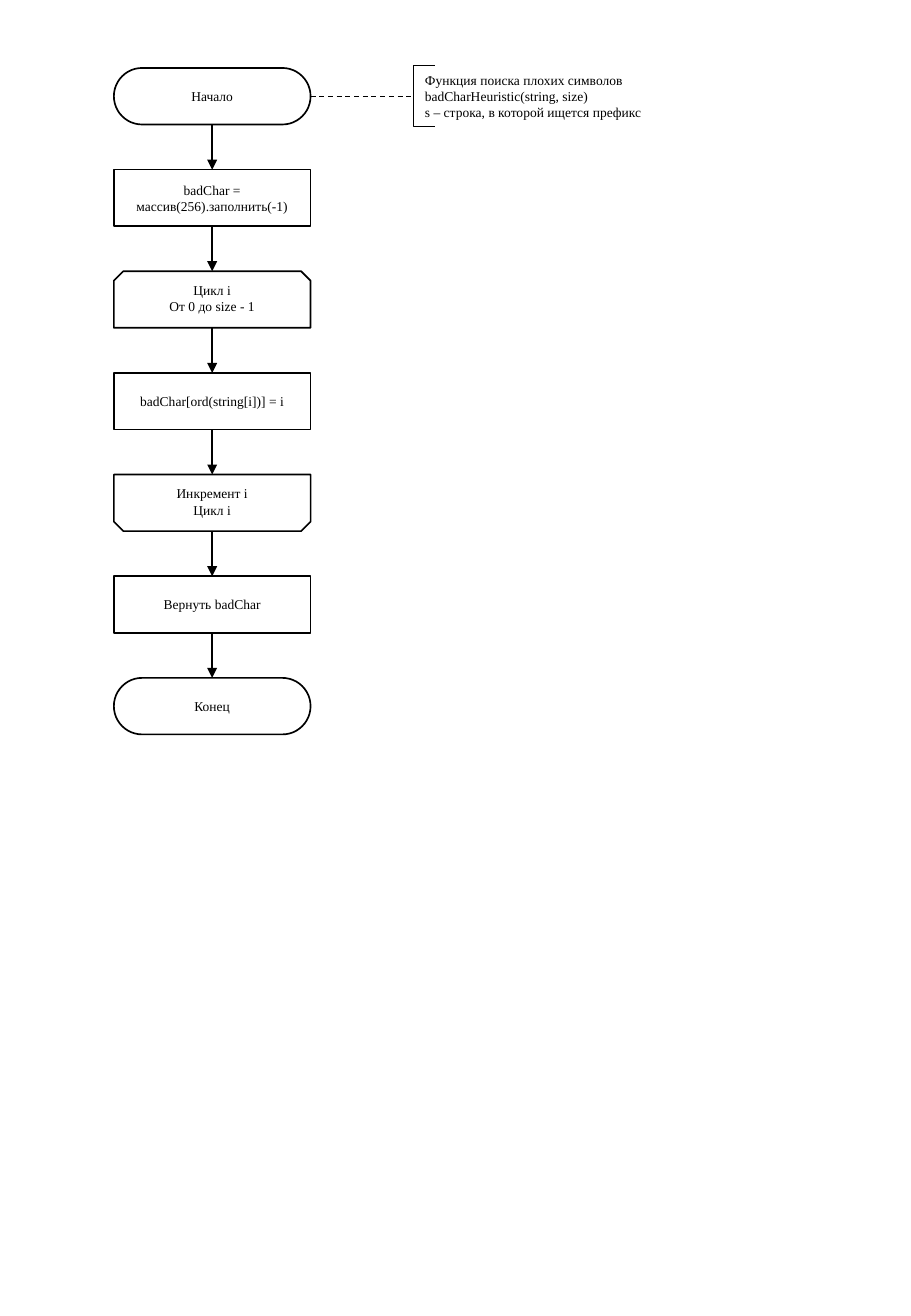
from dataclasses import dataclass

from pptx import Presentation
from pptx.dml.color import RGBColor
from pptx.enum import dml, shapes, text
from pptx.oxml import ns, xmlchemy
from pptx.util import Pt


@dataclass(frozen=True)
class Theme:
    ink: RGBColor = RGBColor(0, 0, 0)
    paper: RGBColor = RGBColor(255, 255, 255)
    font: str = "Times New Roman"
    size: float = 8
    outline: float = 1
    dash: float = 0.75
    bracket: float = 0.5


class Flowchart:
    def __init__(self, page, theme):
        self.page = page
        self.theme = theme

    def fill_text(self, frame, lines, align):
        frame.text = "\n".join(lines)
        for para in frame.paragraphs:
            para.alignment = align
            para.font.name = self.theme.font
            para.font.size = Pt(self.theme.size)
            para.font.color.rgb = self.theme.ink

    def shape(self, kind, left, top, width, height, weight):
        box = self.page.shapes.add_shape(kind, Pt(left), Pt(top), Pt(width), Pt(height))
        box.shadow.inherit = False
        box.line.color.rgb = self.theme.ink
        box.line.width = Pt(weight)
        return box

    def step(self, kind, left, top, width, height, lines=()):
        box = self.shape(kind, left, top, width, height, self.theme.outline)
        box.fill.solid()
        box.fill.fore_color.rgb = self.theme.paper
        if lines:
            box.text_frame.vertical_anchor = text.MSO_ANCHOR.MIDDLE
            self.fill_text(box.text_frame, lines, text.PP_ALIGN.CENTER)
        return box

    def label(self, left, top, width, height, lines, align, wrap):
        box = self.page.shapes.add_textbox(Pt(left), Pt(top), Pt(width), Pt(height))
        box.text_frame.word_wrap = wrap
        box.text_frame.auto_size = text.MSO_AUTO_SIZE.SHAPE_TO_FIT_TEXT
        self.fill_text(box.text_frame, lines, align)

    def bracket(self, left, top, width, height):
        box = self.shape(shapes.MSO_SHAPE.LEFT_BRACKET, left, top, width, height,
                         self.theme.bracket)
        box.adjustments[0] = 0
        box.fill.background()

    def line(self, start, end, weight):
        link = self.page.shapes.add_connector(
            shapes.MSO_CONNECTOR.STRAIGHT, *map(Pt, start + end))
        link.line.color.rgb = self.theme.ink
        link.line.width = Pt(weight)
        link._element.spPr.append(xmlchemy.OxmlElement("a:effectLst"))
        return link

    def arrow(self, start, end):
        link = self.line(start, end, self.theme.outline)
        head = xmlchemy.OxmlElement("a:tailEnd")
        head.set("type", "triangle")
        link._element.spPr.find(ns.qn("a:ln")).append(head)

    def dashed(self, start, end):
        link = self.line(start, end, self.theme.dash)
        link.line.dash_style = dml.MSO_LINE.DASH


LEFT, TOP, WIDTH, HEIGHT, PITCH = 67.5, 40.3, 116.6, 33.5, 60.25
CENTRE = LEFT + WIDTH / 2
LABEL_WIDTH, LABEL_HEIGHT = 66, 26.6
NOTE_LEFT, NOTE_TOP, NOTE_WIDTH, NOTE_HEIGHT = 244.8, 38.9, 150.5, 36.2

TERMINAL = shapes.MSO_SHAPE.ROUNDED_RECTANGLE
PROCESS = shapes.MSO_SHAPE.RECTANGLE
LOOP = shapes.MSO_SHAPE.SNIP_2_SAME_RECTANGLE

STEPS = [
    (TERMINAL, 0, ["Начало"]),
    (PROCESS, 0, ["badChar = массив(256).заполнить(-1)"]),
    (LOOP, 0, ["Цикл i", "От 0 до size - 1"]),
    (PROCESS, 0, ["badChar[ord(string[i])] = i"]),
    (LOOP, 180, ["Инкремент i", "Цикл i"]),
    (PROCESS, 0, ["Вернуть badChar"]),
    (TERMINAL, 0, ["Конец"]),
]
NOTE = [
    "Функция поиска плохих символов",
    "badCharHeuristic(string, size)",
    "s – строка, в которой ищется префикс",
]

deck = Presentation()
deck.slide_width, deck.slide_height = Pt(540), Pt(780)
chart = Flowchart(deck.slides.add_slide(deck.slide_layouts[6]), Theme())

for index, (kind, rotation, lines) in enumerate(STEPS):
    top = TOP + index * PITCH
    box = chart.step(kind, LEFT, top, WIDTH, HEIGHT, () if kind == LOOP else lines)
    box.rotation = rotation
    if kind == TERMINAL:
        box.adjustments[0] = 0.5
    if kind == LOOP:
        chart.label(CENTRE - LABEL_WIDTH / 2, top + 2.9, LABEL_WIDTH, LABEL_HEIGHT,
                    lines, text.PP_ALIGN.CENTER, False)
    if index:
        chart.arrow((CENTRE, top - PITCH + HEIGHT), (CENTRE, top))

middle = TOP + HEIGHT / 2
chart.dashed((LEFT + WIDTH, middle), (NOTE_LEFT, middle))
chart.bracket(NOTE_LEFT, NOTE_TOP, 12.8, NOTE_HEIGHT)
chart.label(NOTE_LEFT, NOTE_TOP, NOTE_WIDTH, NOTE_HEIGHT, NOTE, text.PP_ALIGN.LEFT, True)

deck.save("out.pptx")
